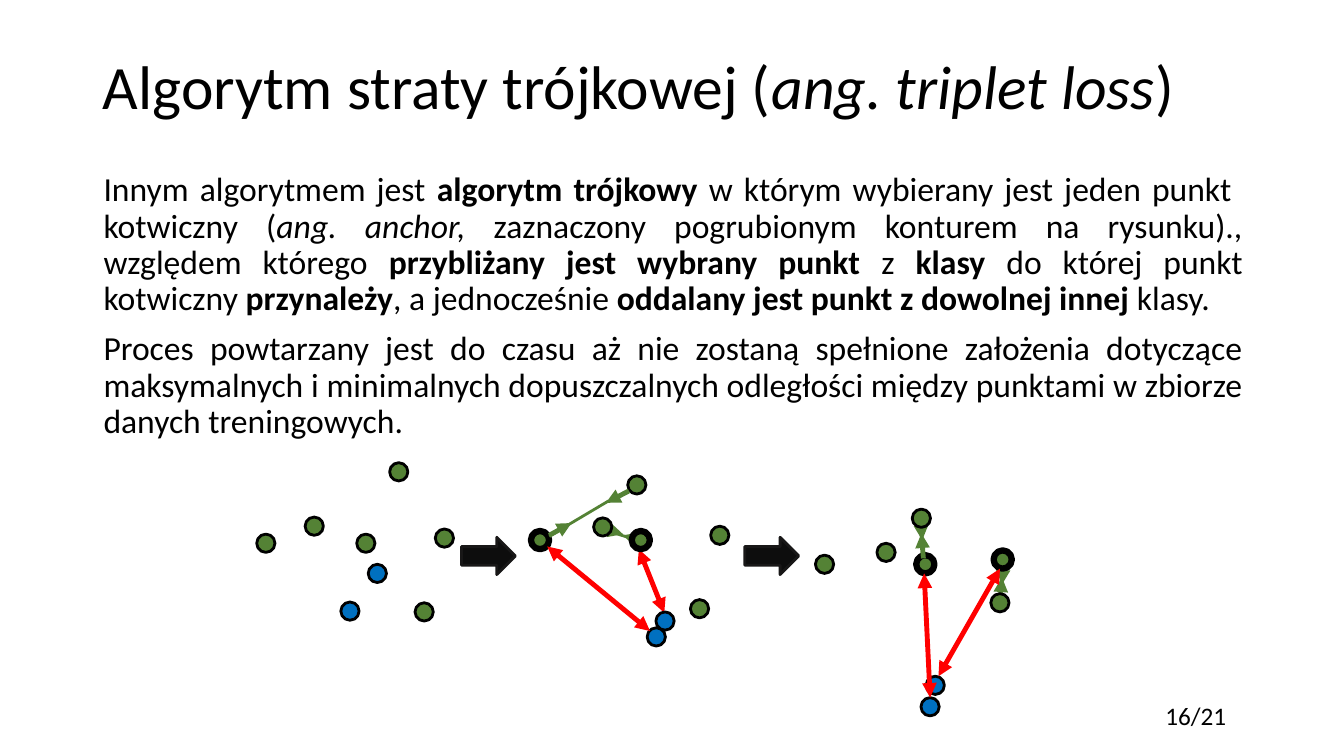
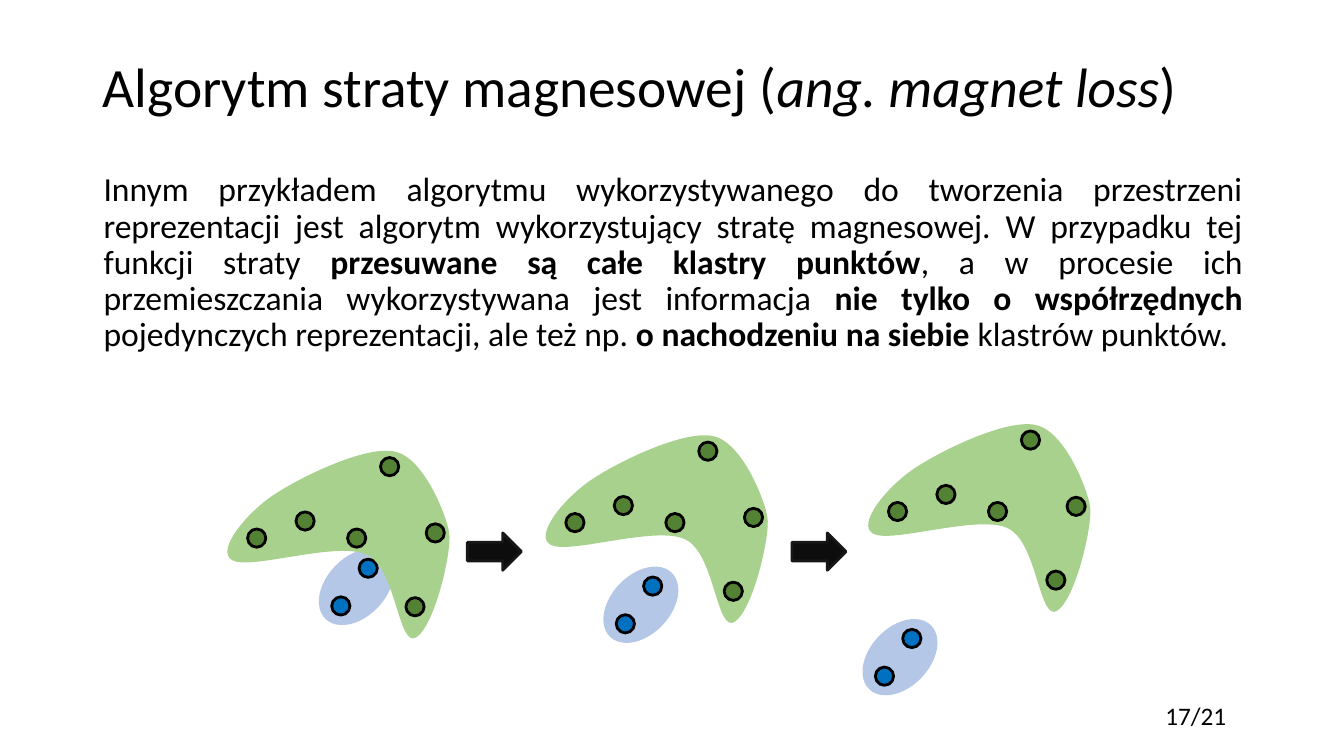
from dataclasses import dataclass

from lxml import etree
from pptx import Presentation
from pptx.dml.color import RGBColor
from pptx.enum.shapes import MSO_CONNECTOR, MSO_SHAPE
from pptx.enum.text import MSO_ANCHOR, PP_ALIGN
from pptx.oxml.ns import qn
from pptx.util import Cm, Pt

OVAL, ARROW = MSO_SHAPE.OVAL, MSO_SHAPE.RIGHT_ARROW
STRAIGHT = MSO_CONNECTOR.STRAIGHT
TOP, MIDDLE = MSO_ANCHOR.TOP, MSO_ANCHOR.MIDDLE
LEFT, RIGHT, JUSTIFY = PP_ALIGN.LEFT, PP_ALIGN.RIGHT, PP_ALIGN.JUSTIFY


@dataclass(frozen=True)
class Theme:
    font: str = "Calibri"
    black: RGBColor = RGBColor(0x00, 0x00, 0x00)
    green: RGBColor = RGBColor(0x54, 0x82, 0x35)
    pale_green: RGBColor = RGBColor(0xA9, 0xD1, 0x8E)
    blue: RGBColor = RGBColor(0x00, 0x70, 0xC0)
    pale_blue: RGBColor = RGBColor(0xB4, 0xC7, 0xE7)
    red: RGBColor = RGBColor(0xFF, 0x00, 0x00)
    arrow_fill: RGBColor = RGBColor(0x0D, 0x0D, 0x0D)
    arrow_line: RGBColor = RGBColor(0x18, 0x17, 0x17)
    body_size: float = 24
    number_size: float = 18
    thin: float = 2
    medium: float = 3.5
    thick: float = 4.5


THEME = Theme()
PLAIN, BOLD, ITALIC = {}, {"bold": True}, {"italic": True}
TITLE_BOX = (2.34, 1.02, 29.21, 2.46)
BODY_BOX = (2.36, 4.23, 29.21, 12.93)
NUMBER_BOX = (29.07, 17.53, 2.08, 1.02)
TITLE_FORMAT = {"alignment": LEFT, "line_spacing": 0.9}
BODY_FORMAT = {"alignment": JUSTIFY, "line_spacing": 0.9, "space_before": Pt(10)}
NUMBER_FORMAT = {"alignment": RIGHT}
PAGE_COUNT = 21

DOT_SIZE = 0.46
DOTS = {
    "member": (THEME.green, THEME.thin),
    "anchor": (THEME.green, THEME.thick),
    "rival": (THEME.blue, THEME.thin),
}
LINKS = {
    "guide": (THEME.green, THEME.thin, ()),
    "pull": (THEME.green, THEME.medium, ("tailEnd",)),
    "push": (THEME.red, THEME.medium, ("headEnd", "tailEnd")),
}

MEMBERS = [
    ("member", 0.76, 2.21), ("member", 3.28, 2.21), ("member", 1.98, 1.78),
    ("member", 4.11, 0.41), ("member", 4.75, 3.94), ("member", 5.26, 2.08),
]
RIVALS = [("rival", 0.36, 1.6), ("rival", 1.05, 0.65)]
RIVAL_OVAL = (1.5, 2.24, 43.7)
BLOB_SIZE = (5.61, 4.72)
BLOB_START = (1.19, 1.12)
BLOB_CURVES = [
    ((1.88, 0.66), (3.51, -0.13), (4.24, 0.03)),
    ((4.98, 0.18), (5.56, 1.68), (5.61, 2.08)),
    ((5.69, 2.46), (5.28, 4.34), (4.8, 4.7)),
    ((4.32, 5.05), (4.29, 2.92), (3.51, 2.62)),
    ((2.74, 2.29), (0.61, 3.02), (0.15, 2.77)),
    ((-0.3, 2.54), (0.51, 1.57), BLOB_START),
]

SELECTED_TRIPLETS = [
    ("guide", 1.79, 1.41, 3.01, 1.79),
    ("pull", 1.79, 1.38, 2.4, 1.56),
    ("pull", 3.01, 1.77, 2.4, 1.59),
    ("push", 3.44, 3.54, 2.8, 1.94),
    ("anchor", 0.31, 1.71), ("anchor", 2.85, 1.71),
    ("member", 1.89, 1.38), ("member", 2.75, 0.32),
    ("rival", 3.24, 4.15), ("member", 4.33, 3.44),
    ("rival", 3.46, 3.75), ("member", 4.84, 1.59),
    ("push", 3.08, 4, 0.49, 1.87),
    ("guide", 0.54, 1.61, 2.04, 0.72),
    ("pull", 0.54, 1.59, 1.1, 1.28),
    ("pull", 2.55, 0.47, 1.97, 0.77),
]
MOVED_TRIPLETS = [
    ("guide", 4.92, 1.7, 4.95, 2.16),
    ("pull", 5, 1.4, 4.95, 2.03),
    ("pull", 4.9, 2.49, 4.95, 1.85),
    ("member", 0.48, 1.52), ("anchor", 3.02, 1.52),
    ("member", 2.03, 1.22), ("rival", 3.14, 5.11),
    ("member", 4.9, 2.49), ("rival", 3.27, 4.57), ("anchor", 4.97, 1.4),
    ("push", 3.14, 4.88, 2.99, 1.75),
    ("guide", 2.86, 0.58, 2.97, 1.04),
    ("pull", 2.89, 0.28, 2.94, 0.91),
    ("pull", 2.97, 1.37, 2.92, 0.74),
    ("member", 2.92, 0.36),
    ("push", 3.35, 4.34, 4.9, 1.63),
]

TRIPLET_TITLE = [
    ("Algorytm straty trójkowej (", PLAIN), ("ang. triplet loss", ITALIC), (")", PLAIN),
]
TRIPLET_BODY = [
    [
        ("Innym algorytmem jest ", PLAIN),
        ("algorytm trójkowy ", BOLD),
        ("w którym wybierany jest jeden punkt  kotwiczny (", PLAIN),
        ("ang. anchor, ", ITALIC),
        ("zaznaczony pogrubionym konturem na rysunku)., względem którego ", PLAIN),
        ("przybliżany jest wybrany punkt ", BOLD),
        ("z ", PLAIN),
        ("klasy", BOLD),
        (" do której punkt kotwiczny ", PLAIN),
        ("przynależy", BOLD),
        (", a jednocześnie ", PLAIN),
        ("oddalany jest punkt z dowolnej innej ", BOLD),
        ("klasy.", PLAIN),
    ],
    [
        ("Proces powtarzany jest do czasu aż nie zostaną spełnione założenia "
         "dotyczące maksymalnych i minimalnych dopuszczalnych odległości między "
         "punktami w zbiorze danych treningowych.", PLAIN),
    ],
]
MAGNET_TITLE = [
    ("Algorytm straty magnesowej (", PLAIN), ("ang. magnet loss", ITALIC), (")", PLAIN),
]
MAGNET_BODY = [
    [
        ("Innym przykładem algorytmu wykorzystywanego do tworzenia przestrzeni "
         "reprezentacji jest algorytm wykorzystujący stratę magnesowej. "
         "W przypadku tej funkcji straty ", PLAIN),
        ("przesuwane są całe klastry punktów", BOLD),
        (", a w procesie ich przemieszczania wykorzystywana jest informacja ", PLAIN),
        ("nie tylko o współrzędnych ", BOLD),
        ("pojedynczych reprezentacji, ale też np. ", PLAIN),
        ("o nachodzeniu na siebie ", BOLD),
        ("klastrów punktów.", PLAIN),
    ],
]


def apply_format(target, values):
    for name, value in values.items():
        setattr(target, name, value)


def add_text(page, box, paragraphs, size, para_format, anchor=TOP):
    frame = page.shapes.add_textbox(*map(Cm, box)).text_frame
    apply_format(frame, {"word_wrap": True, "vertical_anchor": anchor})
    for index, spans in enumerate(paragraphs):
        para = frame.add_paragraph() if index else frame.paragraphs[0]
        apply_format(para, para_format)
        for text, style in spans:
            span = para.add_run()
            span.text = text
            apply_format(span.font, {"name": THEME.font, "size": Pt(size), **style})
            span.font.color.rgb = THEME.black


def paint(shape, fill, line=None, width=0):
    shape.shadow.inherit = False
    shape.fill.solid()
    shape.fill.fore_color.rgb = fill
    if line is None:
        shape.line.fill.background()
    else:
        shape.line.color.rgb = line
        shape.line.width = Pt(width)


def add_dot(page, kind, x, y):
    fill, width = DOTS[kind]
    corner = Cm(x - DOT_SIZE / 2), Cm(y - DOT_SIZE / 2)
    dot = page.shapes.add_shape(OVAL, *corner, Cm(DOT_SIZE), Cm(DOT_SIZE))
    paint(dot, fill, THEME.black, width)


def add_link(page, kind, *ends):
    color, width, heads = LINKS[kind]
    link = page.shapes.add_connector(STRAIGHT, *map(Cm, ends))
    link.line.color.rgb = color
    link.line.width = Pt(width)
    properties = link._element.spPr
    outline = properties.find(qn("a:ln"))
    for head in heads:
        etree.SubElement(outline, qn(f"a:{head}"), type="triangle")
    etree.SubElement(properties, qn("a:effectLst"))


def add_points(page, left, top, parts):
    for kind, *places in parts:
        moved = [place + (top if index % 2 else left) for index, place in enumerate(places)]
        add_part = add_dot if kind in DOTS else add_link
        add_part(page, kind, *moved)


def add_step_arrow(page, left, top):
    arrow = page.shapes.add_shape(ARROW, Cm(left), Cm(top), Cm(1.36), Cm(0.94))
    paint(arrow, THEME.arrow_fill, THEME.arrow_line, THEME.thin)


def add_outline_step(outline, kind, points):
    step = etree.SubElement(outline, qn(f"a:{kind}"))
    for x, y in points:
        etree.SubElement(step, qn("a:pt"), x=str(Cm(x)), y=str(Cm(y)))


def add_blob(page, left, top):
    width, height = map(Cm, BLOB_SIZE)
    builder = page.shapes.build_freeform(0, 0)
    builder.add_line_segments([(width, 0), (width, height), (0, height)])
    blob = builder.convert_to_shape(Cm(left), Cm(top))
    outline = blob._element.find(".//" + qn("a:path"))
    for corner in list(outline):
        outline.remove(corner)
    add_outline_step(outline, "moveTo", [BLOB_START])
    for curve in BLOB_CURVES:
        add_outline_step(outline, "cubicBezTo", curve)
    add_outline_step(outline, "close", [])
    paint(blob, THEME.pale_green)


def add_member_cluster(page, left, top):
    add_blob(page, left, top)
    add_points(page, left, top, MEMBERS)


def add_rival_cluster(page, left, top):
    width, height, turn = RIVAL_OVAL
    oval = page.shapes.add_shape(OVAL, Cm(left), Cm(top), Cm(width), Cm(height))
    oval.rotation = turn
    paint(oval, THEME.pale_blue)
    add_points(page, left, top, RIVALS)


def add_page(deck, number, title, title_size, body):
    page = deck.slides.add_slide(deck.slide_layouts[6])
    add_text(page, TITLE_BOX, [title], title_size, TITLE_FORMAT, MIDDLE)
    add_text(page, BODY_BOX, body, THEME.body_size, BODY_FORMAT)
    label = [(f"{number}/{PAGE_COUNT}", PLAIN)]
    add_text(page, NUMBER_BOX, [label], THEME.number_size, NUMBER_FORMAT)
    return page


def add_triplet_page(deck):
    page = add_page(deck, 16, TRIPLET_TITLE, 44, TRIPLET_BODY)
    add_points(page, 5.94, 11.48, MEMBERS)
    add_points(page, 8.46, 13.8, RIVALS)
    add_points(page, 13.3, 11.9, SELECTED_TRIPLETS)
    add_points(page, 20.3, 12.7, MOVED_TRIPLETS)
    for left in (11.63, 18.77):
        add_step_arrow(page, left, 13.54)


def add_magnet_page(deck):
    page = add_page(deck, 17, MAGNET_TITLE, 39.6, MAGNET_BODY)
    stages = [
        ((5.71, 11.35), (8.23, 13.67)),
        ((13.73, 10.96), (15.4, 14.12)),
        ((21.86, 10.68), (21.93, 15.44)),
    ]
    for members, rivals in stages:
        add_rival_cluster(page, *rivals)
        add_member_cluster(page, *members)
    for left in (11.78, 19.96):
        add_step_arrow(page, left, 13.43)


def main():
    deck = Presentation()
    apply_format(deck, {"slide_width": Cm(33.87), "slide_height": Cm(19.05)})
    add_triplet_page(deck)
    add_magnet_page(deck)
    deck.save("out.pptx")


if __name__ == "__main__":
    main()
